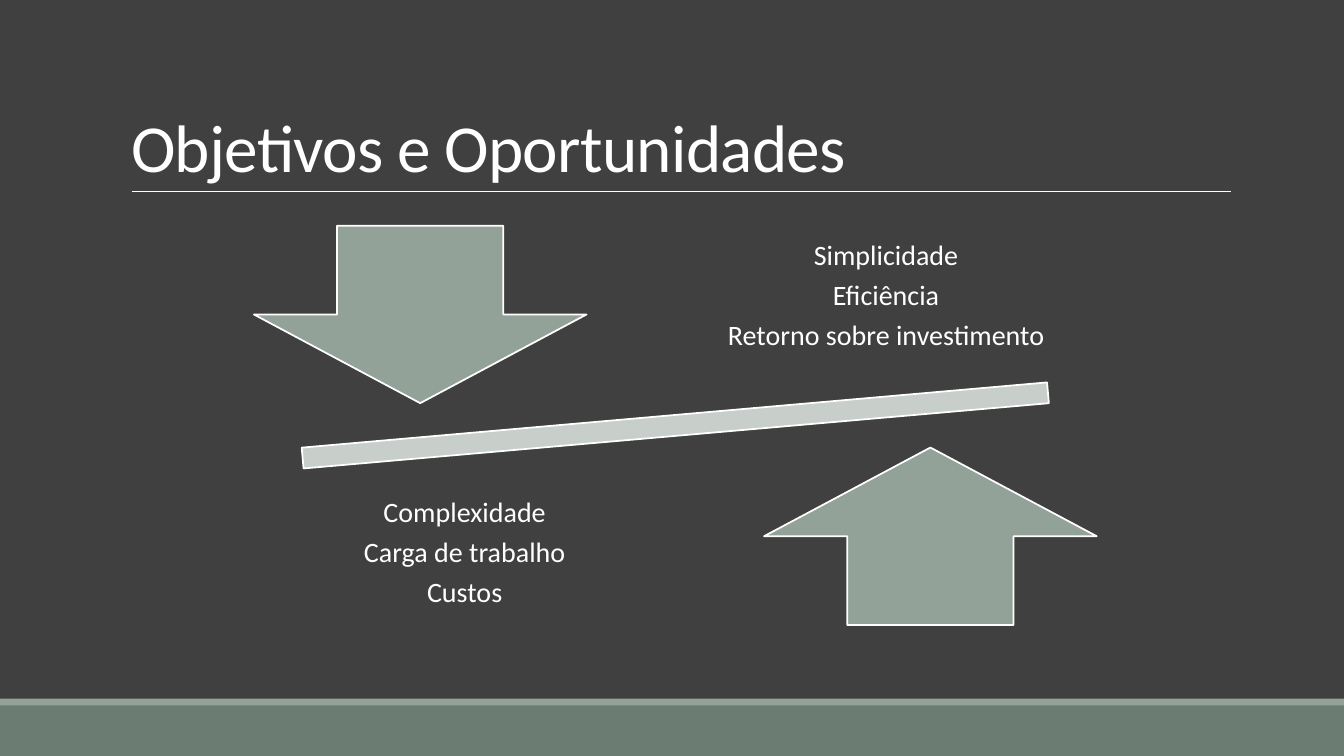
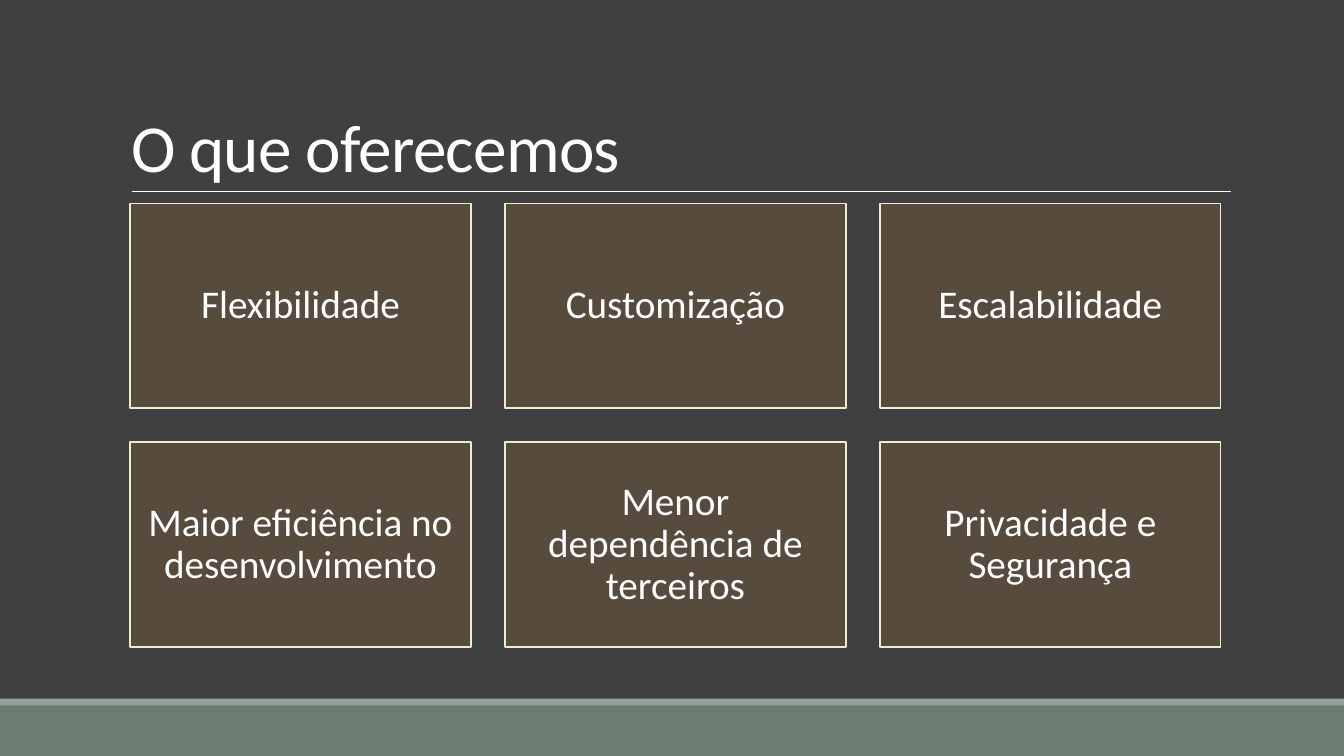
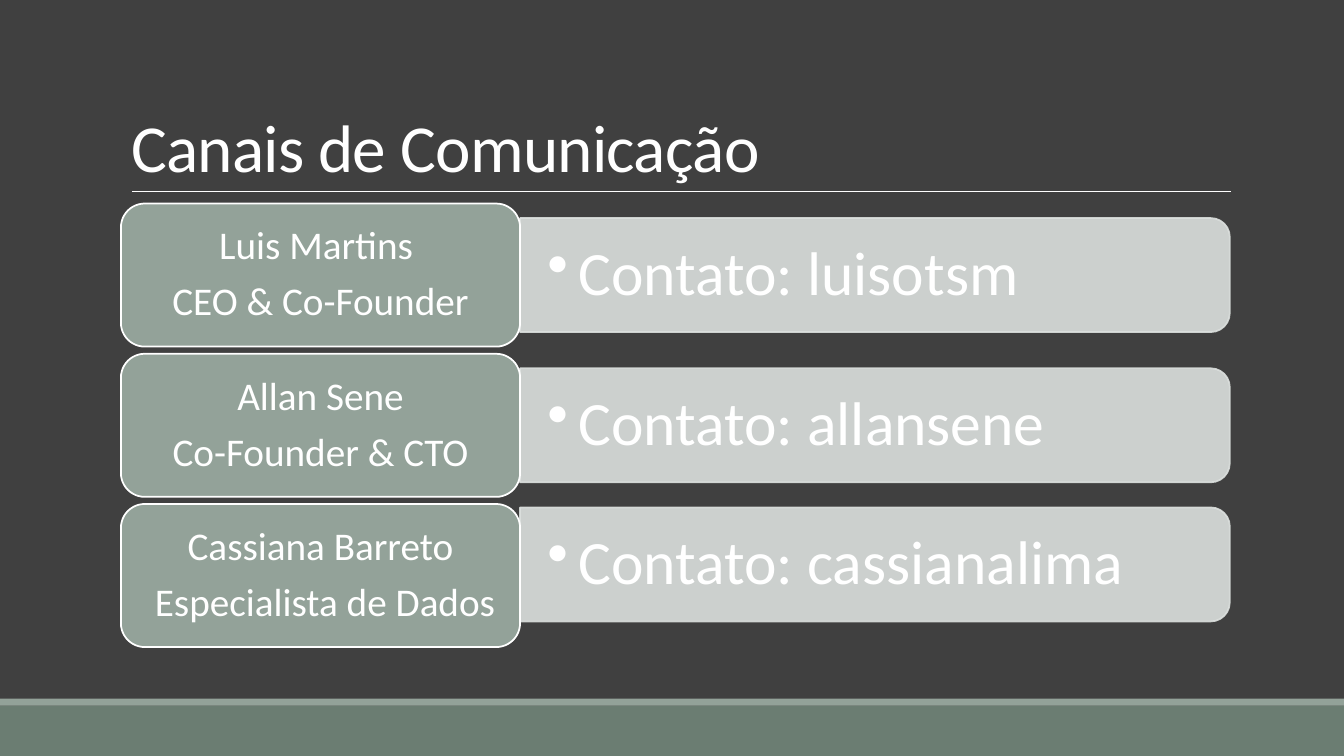
from itertools import product

from lxml.etree import SubElement
from pptx import Presentation
from pptx.dml.color import RGBColor
from pptx.enum.shapes import MSO_CONNECTOR, MSO_SHAPE
from pptx.enum.text import MSO_ANCHOR, MSO_AUTO_SIZE, PP_ALIGN
from pptx.oxml.ns import qn
from pptx.util import Pt

WIDTH, HEIGHT = 960, 540
FONT = "Calibri"
COLORS = {
    "background": "404040",
    "white": "FFFFFF",
    "footer": "6B7D72",
    "sage": "93A299",
    "seesaw": "C8CECA",
    "card": "564B3C",
    "card_edge": "ECEDD1",
    "panel": "DCE0DE",
}


def rgb(name):
    return RGBColor.from_string(COLORS[name])


def write_text(frame, lines, *, size, align=PP_ALIGN.CENTER, anchor=MSO_ANCHOR.MIDDLE,
               insets=(7.2, 3.6), line_spacing=0.9, after=0.35, tracking=None, bullet_indent=None):
    """Fill a frame, one paragraph per line; after is a share of the text size."""
    frame.word_wrap = True
    frame.auto_size = MSO_AUTO_SIZE.NONE
    frame.vertical_anchor = anchor
    frame.margin_left = frame.margin_right = Pt(insets[0])
    frame.margin_top = frame.margin_bottom = Pt(insets[1])
    for index, line in enumerate(lines):
        paragraph = frame.add_paragraph() if index else frame.paragraphs[0]
        paragraph.alignment = align
        paragraph.line_spacing = line_spacing
        paragraph.space_before = Pt(0)
        paragraph.space_after = Pt(size * after)
        run = paragraph.add_run()
        run.text = line
        run.font.name = FONT
        run.font.size = Pt(size)
        run.font.color.rgb = rgb("white")
        if tracking is not None:
            run.font._element.set("spc", str(round(tracking * 100)))
        if bullet_indent:
            properties = paragraph._p.get_or_add_pPr()
            properties.set("marL", str(Pt(bullet_indent)))
            properties.set("indent", str(-Pt(bullet_indent)))
            SubElement(properties, qn("a:buChar")).set("char", "•")


class Deck:
    def __init__(self):
        self.presentation = Presentation()
        self.presentation.slide_width = Pt(WIDTH)
        self.presentation.slide_height = Pt(HEIGHT)
        background = self.presentation.slide_master.background.fill
        background.solid()
        background.fore_color.rgb = rgb("background")
        self.slide = None

    def start_slide(self, heading):
        """Add a slide with the shared bands, rule and title."""
        self.slide = self.presentation.slides.add_slide(self.presentation.slide_layouts[5])
        self.shape(MSO_SHAPE.RECTANGLE, (0, 504, WIDTH, 36), "footer")
        self.shape(MSO_SHAPE.RECTANGLE, (0, 499, WIDTH, 5), "sage")
        self.rule(94.3, 879, 136.8)
        title = self.slide.shapes.title
        title.left, title.top, title.width, title.height = map(Pt, (86.4, 22.3, 792, 114.5))
        write_text(title.text_frame, [heading], size=48, align=PP_ALIGN.LEFT,
                   anchor=MSO_ANCHOR.BOTTOM, line_spacing=0.85, after=0, tracking=-0.5)

    def shape(self, kind, box, fill, edge=None, rotation=0, opacity=None):
        shape = self.slide.shapes.add_shape(kind, *map(Pt, box))
        shape.shadow.inherit = False
        shape.rotation = rotation
        shape.fill.solid()
        shape.fill.fore_color.rgb = rgb(fill)
        if edge:
            shape.line.color.rgb = rgb(edge)
            shape.line.width = Pt(1.25)
        else:
            shape.line.fill.background()
        if opacity is not None:
            for color in list(shape._element.spPr.iter(qn("a:srgbClr"))):
                SubElement(color, qn("a:alpha")).set("val", str(opacity * 1000))
        return shape

    def rule(self, left, right, y):
        rule = self.slide.shapes.add_connector(
            MSO_CONNECTOR.STRAIGHT, Pt(left), Pt(y), Pt(right), Pt(y))
        rule.line.color.rgb = rgb("white")
        rule.line.width = Pt(0.5)
        SubElement(rule._element.spPr, qn("a:effectLst"))

    def text(self, box, lines, **style):
        label = self.slide.shapes.add_textbox(*map(Pt, box))
        write_text(label.text_frame, lines, **style)


def add_goals(deck):
    deck.start_slide("Objetivos e Oportunidades")
    deck.shape(MSO_SHAPE.MATH_MINUS, (118.8, 272.2, 727.2, 63.4), "seesaw", "white", rotation=355)
    sides = [
        (MSO_SHAPE.DOWN_ARROW, (181.4, 161.3), (506.2, 145.4),
         ["Simplicidade", "Eficiência", "Retorno sobre investimento"]),
        (MSO_SHAPE.UP_ARROW, (545.8, 319.7), (205.2, 329),
         ["Complexidade", "Carga de trabalho", "Custos"]),
    ]
    for arrow, arrow_corner, text_corner, points in sides:
        deck.shape(arrow, (*arrow_corner, 237.6, 126.7), "sage", "white")
        deck.text((*text_corner, 253.4, 133.2), points, size=20, insets=(11.5, 11.5))


def add_offer(deck):
    deck.start_slide("O que oferecemos")
    benefits = ["Flexibilidade", "Customização", "Escalabilidade",
                "Maior eficiência no desenvolvimento",
                "Menor dependência de terceiros", "Privacidade e Segurança"]
    width, height, gap = 243.4, 146.2, 24.4
    for (row, column), benefit in zip(product(range(2), range(3)), benefits):
        box = (92.9 + column * (width + gap), 145.4 + row * (height + gap), width, height)
        card = deck.shape(MSO_SHAPE.RECTANGLE, box, "card", "card_edge")
        write_text(card.text_frame, [benefit], size=28, insets=(8.6, 8.6))


def add_contacts(deck):
    deck.start_slide("Canais de Comunicação")
    contacts = [
        (["Luis Martins ", "CEO & Co-Founder"], "luisotsm", 0),
        (["Allan Sene", "Co-Founder & CTO"], "allansene", 0),
        (["Cassiana Barreto", " Especialista de Dados"], "cassianalima", 7.9),
    ]
    left, name_width, name_height, pitch = 86.4, 285.1, 102.2, 107.3
    panel_left, panel_width, panel_height = left + name_width, 506.9, 81.4
    handle_width, handle_height = 502.6, 73.4
    for row, (person, handle, lift) in enumerate(contacts):
        top = 145.4 + row * pitch
        middle = top + name_height / 2 - lift
        # The panel stands upright before its quarter turn.
        upright = (panel_left + (panel_width - panel_height) / 2, middle - panel_width / 2,
                   panel_height, panel_width)
        deck.shape(MSO_SHAPE.ROUND_2_SAME_RECTANGLE, upright, "panel", "panel",
                   rotation=90, opacity=90)
        deck.text((panel_left, middle - handle_height / 2, handle_width, handle_height),
                  [f"Contato: {handle}"], size=44, align=PP_ALIGN.LEFT,
                  insets=(19.4, 10.1), after=0.15, bullet_indent=22.3)
        name = deck.shape(MSO_SHAPE.ROUNDED_RECTANGLE, (left, top, name_width, name_height),
                          "sage", "white")
        write_text(name.text_frame, person, size=28, insets=(8.6, 4.3))


def main():
    deck = Deck()
    add_goals(deck)
    add_offer(deck)
    add_contacts(deck)
    deck.presentation.save("out.pptx")


if __name__ == "__main__":
    main()
